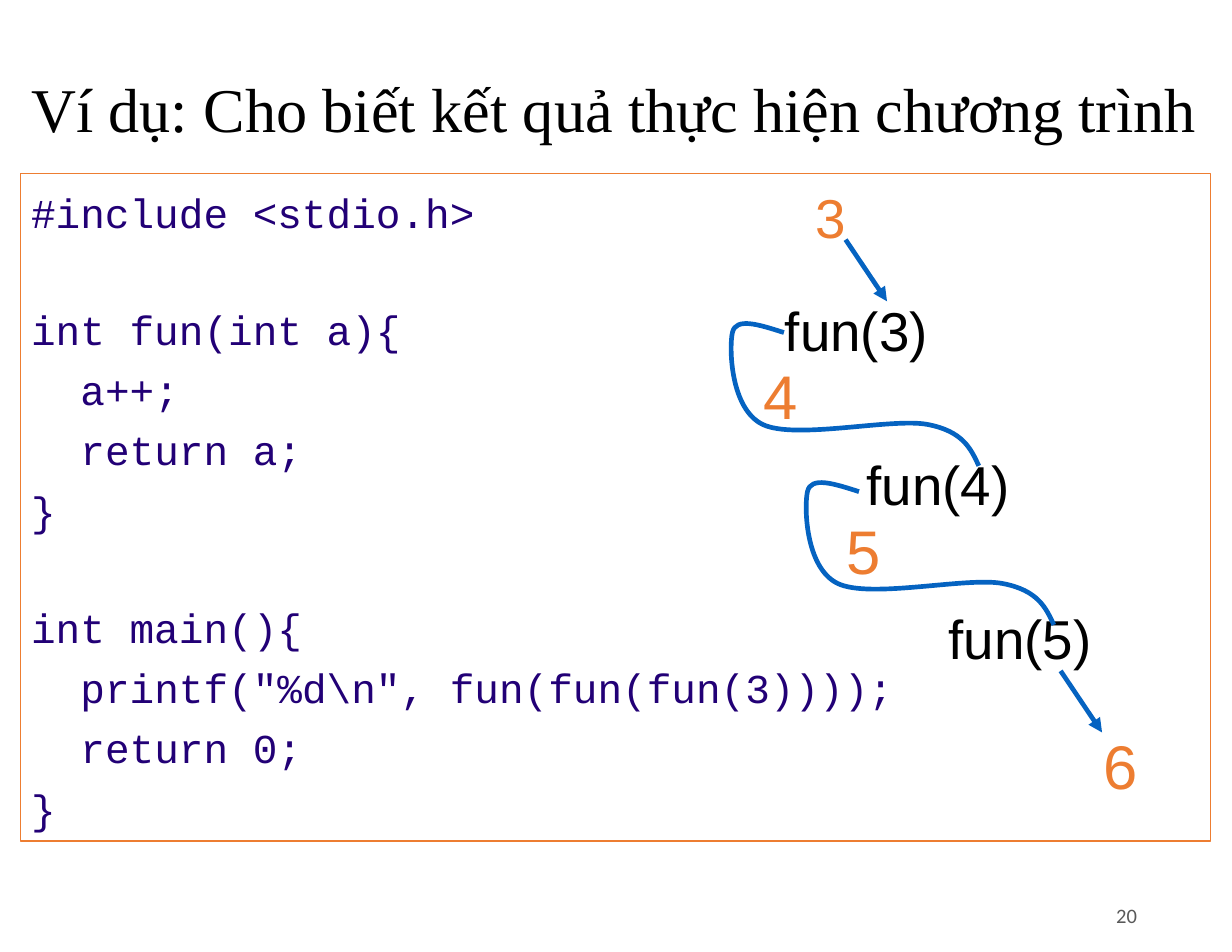
"""Build a slide that traces nested calls of a C function."""
import pptx
import pptx.dml.color
import pptx.enum.shapes
import pptx.enum.text
import pptx.oxml
import pptx.oxml.ns
import pptx.util

Inches = pptx.util.Inches
Pt = pptx.util.Pt
qn = pptx.oxml.ns.qn
Anchor = pptx.enum.text.MSO_ANCHOR
Align = pptx.enum.text.PP_ALIGN
hues = {"ink": "000000", "code": "220076", "value": "ED7D31",
        "flow": "0563C1", "page": "595959"}


def paint(item, hue):
    item.rgb = pptx.dml.color.RGBColor.from_string(hues[hue])


def label(text, box, size, hue, font="Arial"):
    shape = slide.shapes.add_textbox(*map(Inches, box))
    frame = shape.text_frame
    frame.word_wrap = True
    frame.text = text
    run = frame.paragraphs[0].runs[0]
    run.font.size = Pt(size)
    run.font.name = font
    paint(run.font.color, hue)
    return frame


deck = pptx.Presentation()
deck.slide_width = Inches(11)
deck.slide_height = Inches(8.5)
slide = deck.slides.add_slide(deck.slide_layouts[6])

title = label("Ví dụ: Cho biết kết quả thực hiện chương trình",
              (0.18, 0.18, 10.82, 1.64), 40, "ink", "Times New Roman")
title.vertical_anchor = Anchor.MIDDLE
title.paragraphs[0].line_spacing = 0.9

panel = slide.shapes.add_shape(
    pptx.enum.shapes.MSO_SHAPE.RECTANGLE,
    Inches(0.18), Inches(1.55), Inches(10.63), Inches(5.96))
panel.shadow.inherit = False
panel.fill.background()
paint(panel.line.color, "value")
panel.line.width = Pt(0.75)
frame = panel.text_frame
frame.word_wrap = True
frame.vertical_anchor = Anchor.TOP
frame.margin_top = Inches(0.12)

code = [
    (0, 0, "#include <stdio.h>"),
    (1, 0, "int fun(int a){"),
    (0, 1, "a++;"),
    (0, 1, "return a;"),
    (0, 0, "}"),
    (1, 0, "int main(){"),
    (0, 1, "printf(\"%d\\n\", fun(fun(fun(3))));"),
    (0, 1, "return 0;"),
    (0, 0, "}"),
]
for row, (gap, depth, text) in enumerate(code):
    para = frame.paragraphs[0] if row == 0 else frame.add_paragraph()
    para.text = text
    para.alignment = Align.LEFT
    para.space_before = Pt(7 + 36.9 * gap if row else 0)
    props = para._p.get_or_add_pPr()
    props.set("marL", str(Inches(0.67)))
    props.set("indent", str(Inches(0.44 * depth - 0.67)))
    font = para.runs[0].font
    font.size = Pt(26.4)
    font.name = "Courier New"
    paint(font.color, "code")

for step in range(3):
    label(f"fun({step + 3})", (6.91 + 0.73 * step, 2.6 + 1.375 * step, 1.93, 0.69),
          35.2, "ink")

curve = [(0.49, 0.14), (0.27, 0.07), (0.06, 0), (0.03, 0.14),
         (0, 0.27), (0.01, 0.82), (0.3, 0.96),
         (0.59, 1.1), (1.45, 0.9), (1.77, 0.96),
         (2.09, 1.02), (2.16, 1.18), (2.23, 1.33)]
for left, top in [(6.51, 2.83), (7.18, 4.25)]:
    dots = [(Inches(left + x), Inches(top + y)) for x, y in curve]
    pen = slide.shapes.build_freeform(*dots[0])
    pen.add_line_segments(dots[1:], close=False)
    loop = pen.convert_to_shape()
    loop.shadow.inherit = False
    loop.fill.background()
    paint(loop.line.color, "flow")
    loop.line.width = Pt(3)
    track = next(loop._element.iter(qn("a:path")))
    lines = track.findall(qn("a:lnTo"))
    for start in range(0, len(lines), 3):
        bend = pptx.oxml.parse_xml(
            f'<a:cubicBezTo {pptx.oxml.ns.nsdecls("a")}/>')
        for line in lines[start:start + 3]:
            bend.append(line[0])
            track.remove(line)
        track.append(bend)

for x, y in [(7.55, 2.14), (9.47, 5.99)]:
    arrow = slide.shapes.add_connector(
        pptx.enum.shapes.MSO_CONNECTOR.STRAIGHT,
        Inches(x), Inches(y), Inches(x + 0.37), Inches(y + 0.55))
    paint(arrow.line.color, "flow")
    arrow.line.width = Pt(3)
    pptx.oxml.ns
    tip = pptx.oxml.parse_xml(
        f'<a:tailEnd {pptx.oxml.ns.nsdecls("a")} type="triangle"/>')
    arrow.line._get_or_add_ln().append(tip)
    arrow._element.spPr.append(pptx.oxml.parse_xml(
        f'<a:effectLst {pptx.oxml.ns.nsdecls("a")}/>'))

values = [("3", 7.18, 1.59, 35.2), ("4", 6.72, 3.15, 39.6),
          ("5", 7.46, 4.53, 39.6), ("6", 9.75, 6.45, 39.6)]
for text, left, top, size in values:
    label(text, (left, top, 0.55, 0.77), size, "value")

page = label("20", (8.87, 7.95, 1.38, 0.45), 13.2, "page", "Calibri")
page.vertical_anchor = Anchor.MIDDLE
page.paragraphs[0].alignment = Align.RIGHT

deck.save("out.pptx")
